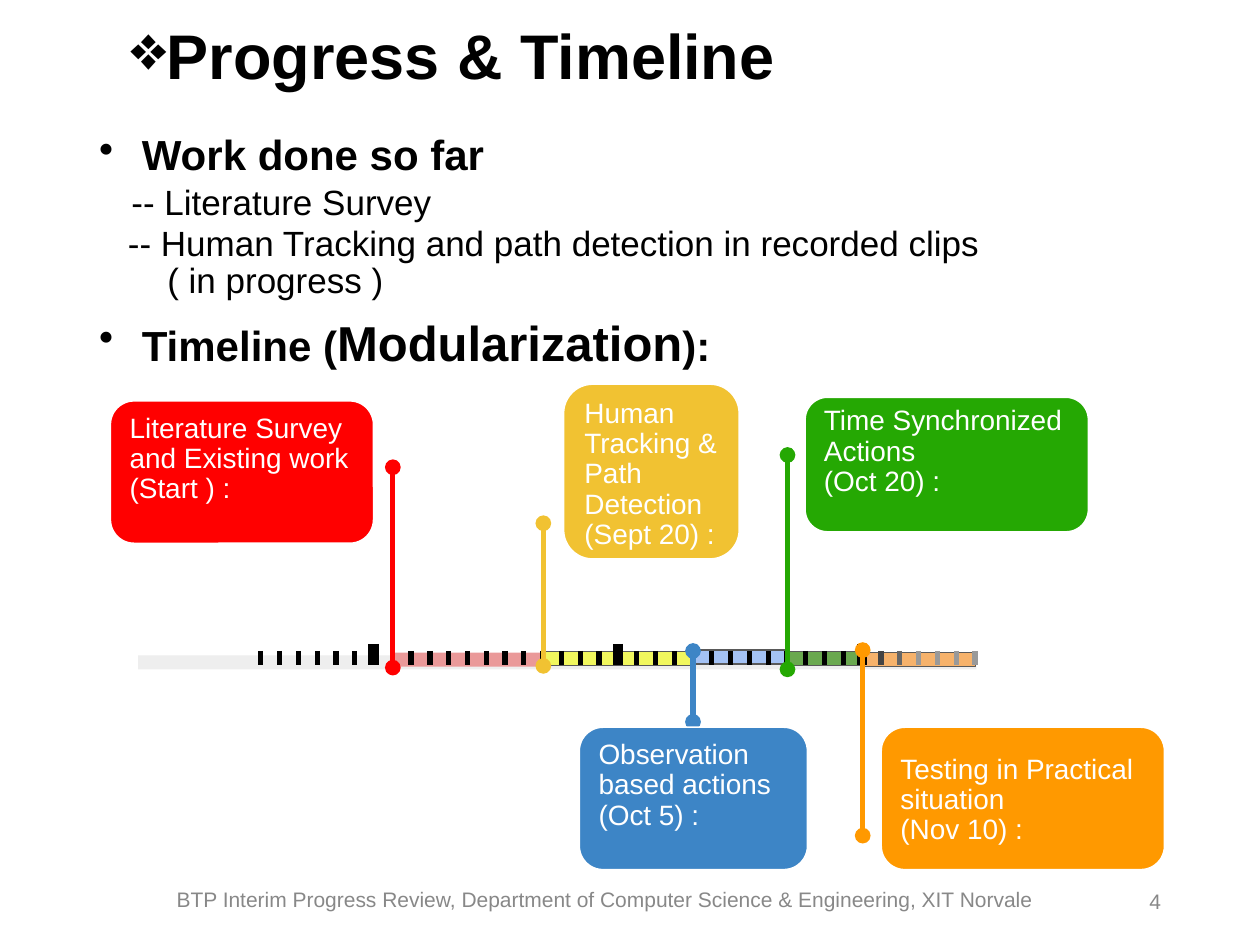
import pptx
import pptx.util
import pptx.dml.color
import pptx.enum.shapes
import pptx.enum.text
import pptx.oxml.ns
import lxml.etree

Pt = pptx.util.Pt
RGBColor = pptx.dml.color.RGBColor
ALIGN = pptx.enum.text.PP_ALIGN
ANCHOR = pptx.enum.text.MSO_ANCHOR
SHAPE = pptx.enum.shapes.MSO_SHAPE
qn = pptx.oxml.ns.qn

BLACK = RGBColor(0x00, 0x00, 0x00)
WHITE = RGBColor(0xFF, 0xFF, 0xFF)
FOOTER_GREY = RGBColor(0x88, 0x88, 0x88)
TRACK_GREY = RGBColor(0xEE, 0xEE, 0xEE)
OUTLINE_GREY = RGBColor(0x59, 0x59, 0x59)
RED = RGBColor(0xFF, 0x00, 0x00)
YELLOW = RGBColor(0xF1, 0xC2, 0x32)
BLUE = RGBColor(0x3D, 0x85, 0xC6)
GREEN = RGBColor(0x25, 0xA8, 0x03)
ORANGE = RGBColor(0xFF, 0x99, 0x00)
FADED_TICKS = [RGBColor(0x44, 0x44, 0x44), RGBColor(0x66, 0x66, 0x66),
               RGBColor(0x99, 0x99, 0x99)]

# Consecutive phases: right edge, top, fill, outline
PHASE_START = 224
PHASES = [
    (310, 373, RGBColor(0xEA, 0x99, 0x99), None),
    (396, 372.5, RGBColor(0xF1, 0xF7, 0x5E), OUTLINE_GREY),
    (449.5, 371.5, RGBColor(0xA4, 0xC2, 0xF4), OUTLINE_GREY),
    (492.5, 372.5, RGBColor(0x6A, 0xA8, 0x4F), OUTLINE_GREY),
    (557.5, 373, RGBColor(0xF6, 0xB2, 0x6B), OUTLINE_GREY),
]

# Stem x, top, bottom; colour; callout left, top, width, height; top inset; lines
MILESTONES = [
    ((224.5, 267, 381.5), RED, (63, 229, 150.5, 81.5), 3.7,
     ["Literature Survey and Existing work", "(Start ) :"]),
    ((493, 371.5, 477.5), ORANGE, (503.5, 415.5, 162, 81.5), 12.2,
     ["Testing in Practical situation", "(Nov 10) :"]),
    ((396, 372, 412.5), BLUE, (331, 415.5, 130.5, 81.5), 3.7,
     ["Observation based actions", "(Oct 5) :"]),
    ((310.5, 299, 380.5), YELLOW, (322, 219.5, 100.5, 100), 3.8,
     ["Human Tracking & Path Detection", "(Sept 20) :"]),
    ((450, 260, 382.5), GREEN, (460, 227, 162, 77), 1.7,
     ["Time Synchronized Actions", "(Oct 20) :"]),
]

# Spans (text, size, bold); left indent; first-line indent; bullet; space before
BODY = [
    ([("Work done so far", 24, True)], 24.5, -24.5, "•", 0),
    ([("-- Literature Survey", 20, False)], 18.5, 0, None, 3.3),
    ([("-- Human Tracking and path detection in recorded clips", 20, False)],
     16.5, 0, None, 1.5),
    ([("( in progress )", 20, False)], 39, 0, None, 0),
    ([("Timeline (", 24, True), ("Modularization", 28, True), ("):", 24, True)],
     24.5, -24.5, "•", 10),
]


def set_values(target, values):
    for name, value in values.items():
        setattr(target, name, value)


def add_span(para, text, size, color=BLACK, bold=False):
    span = para.add_run()
    span.text = text
    set_values(span.font, {"name": "Arial", "size": Pt(size), "bold": bold})
    span.font.color.rgb = color


def indent(para, left, first, bullet):
    properties = para._p.get_or_add_pPr()
    properties.set("marL", str(Pt(left)))
    properties.set("indent", str(Pt(first)))
    if bullet:
        lxml.etree.SubElement(properties, qn("a:buChar")).set("char", bullet)
    else:
        lxml.etree.SubElement(properties, qn("a:buNone"))


def format_frame(frame, anchor, top_inset=3.6, bottom_inset=3.6):
    set_values(frame, {
        "word_wrap": True, "vertical_anchor": anchor,
        "margin_left": Pt(7.2), "margin_right": Pt(7.2),
        "margin_top": Pt(top_inset), "margin_bottom": Pt(bottom_inset)})


def next_para(frame, index):
    return frame.paragraphs[0] if index == 0 else frame.add_paragraph()


def add_title(page, text):
    title = page.shapes.title
    set_values(title, {"left": Pt(49.5), "top": Pt(0),
                       "width": Pt(620.5), "height": Pt(67)})
    format_frame(title.text_frame, ANCHOR.MIDDLE)
    para = title.text_frame.paragraphs[0]
    set_values(para, {"alignment": ALIGN.LEFT, "line_spacing": 0.9})
    indent(para, 36, -18, "❖")
    add_span(para, text, 36, bold=True)


def add_body(page):
    box = page.shapes.add_textbox(Pt(49.5), Pt(70.5), Pt(651.5), Pt(433.5))
    format_frame(box.text_frame, ANCHOR.TOP, top_inset=6.3)
    for index, (spans, left, first, bullet, before) in enumerate(BODY):
        para = next_para(box.text_frame, index)
        set_values(para, {"line_spacing": 0.9, "space_before": Pt(before)})
        indent(para, left, first, bullet)
        for text, size, bold in spans:
            add_span(para, text, size, bold=bold)


def add_footer(page, text, left, top, width, alignment):
    box = page.shapes.add_textbox(Pt(left), Pt(top), Pt(width), Pt(29))
    format_frame(box.text_frame, ANCHOR.MIDDLE)
    para = box.text_frame.paragraphs[0]
    para.alignment = alignment
    add_span(para, text, 12, FOOTER_GREY)


def add_block(page, kind, place, fill, outline=None, outline_width=0.75):
    block = page.shapes.add_shape(kind, *map(Pt, place))
    block.shadow.inherit = False
    block.fill.solid()
    block.fill.fore_color.rgb = fill
    if outline is None:
        block.line.fill.background()
    else:
        block.line.color.rgb = outline
        block.line.width = Pt(outline_width)
    return block


def add_upright(page, x, top, bottom, color, width, dots=False):
    """Draw a vertical line, with round ends if dots is set."""
    line = page.shapes.add_connector(
        pptx.enum.shapes.MSO_CONNECTOR.STRAIGHT, Pt(x), Pt(top), Pt(x), Pt(bottom))
    line.line.color.rgb = color
    line.line.width = Pt(width)
    if dots:
        for end in ("a:headEnd", "a:tailEnd"):
            lxml.etree.SubElement(line.line._ln, qn(end)).set("type", "oval")
    lxml.etree.SubElement(line._element.spPr, qn("a:effectLst"))


def add_track(page):
    add_block(page, SHAPE.RECTANGLE, (79, 374.5, 479, 8), TRACK_GREY)
    left = PHASE_START
    for right, top, fill, outline in PHASES:
        add_block(page, SHAPE.RECTANGLE, (left, top, right - left, 8), fill, outline)
        left = right


def add_ticks(page):
    """Draw even ticks, every 13th of them taller, the last ones fading."""
    for index in range(39):
        major = index % 13 == 6
        color = BLACK if index < 33 else FADED_TICKS[min(index - 33, 2)]
        add_upright(page, 149 + 10.74 * index, 368 if major else 372, 380,
                    color, 6 if major else 3)


def add_callout(page, place, fill, top_inset, lines):
    callout = add_block(page, SHAPE.ROUNDED_RECTANGLE, place, fill, WHITE, 1)
    format_frame(callout.text_frame, ANCHOR.TOP, top_inset, 0)
    for index, text in enumerate(lines):
        para = next_para(callout.text_frame, index)
        set_values(para, {"alignment": ALIGN.LEFT, "line_spacing": 0.9})
        add_span(para, text, 16, WHITE)


def main():
    deck = pptx.Presentation()
    set_values(deck, {"slide_width": Pt(720), "slide_height": Pt(540)})
    page = deck.slides.add_slide(deck.slide_layouts[5])
    add_title(page, "Progress & Timeline")
    add_body(page)
    add_footer(page, "BTP Interim Progress Review, Department of Computer Science "
               "& Engineering, XIT Norvale", 58.5, 499.5, 574.5, ALIGN.CENTER)
    add_footer(page, "4", 508.5, 500.5, 162, ALIGN.RIGHT)
    add_track(page)
    add_ticks(page)
    for stem, color, place, top_inset, lines in MILESTONES:
        add_upright(page, *stem, color, 3, dots=True)
        add_callout(page, place, color, top_inset, lines)
    deck.save("out.pptx")


if __name__ == "__main__":
    main()
